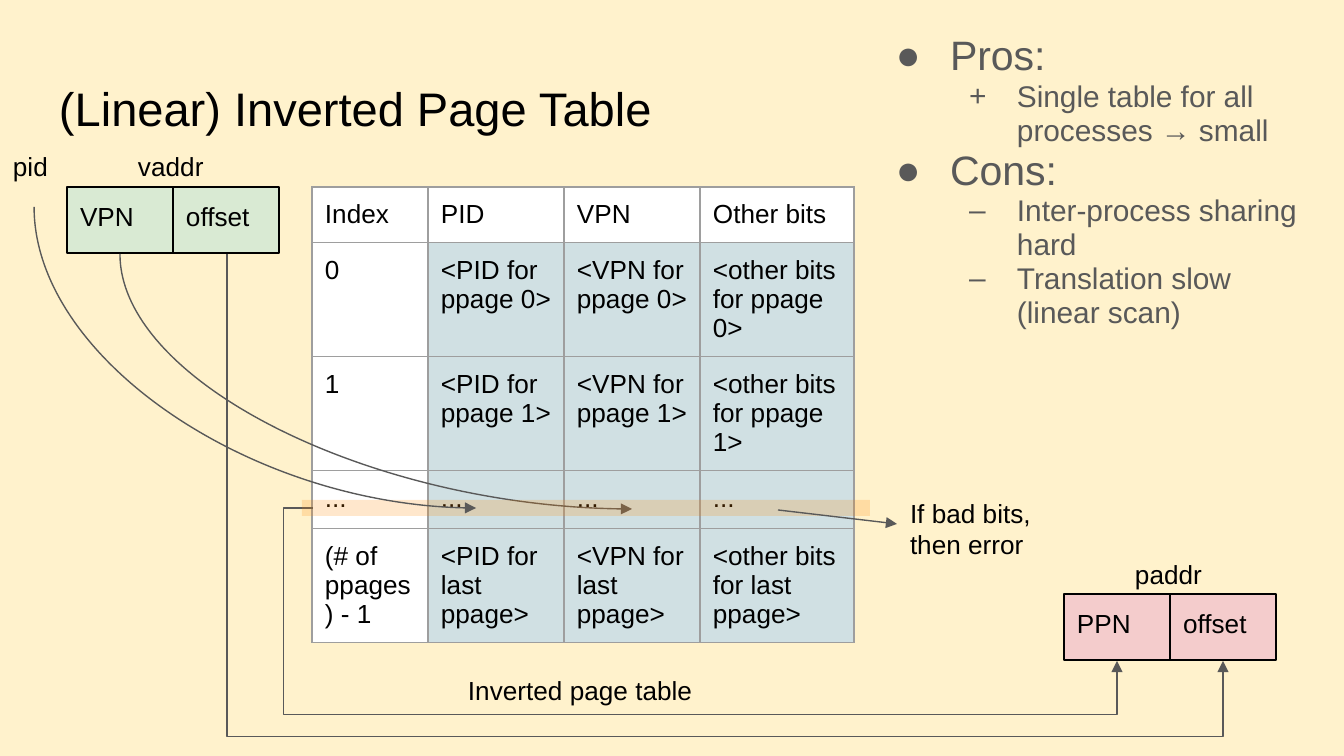
from lxml import etree
from pptx import Presentation
from pptx.dml.color import RGBColor
from pptx.enum.shapes import MSO_CONNECTOR, MSO_SHAPE
from pptx.enum.text import MSO_ANCHOR, MSO_AUTO_SIZE, PP_ALIGN
from pptx.oxml.ns import qn
from pptx.util import Pt

RECT = MSO_SHAPE.RECTANGLE
STRAIGHT, ELBOW, CURVE = MSO_CONNECTOR.STRAIGHT, MSO_CONNECTOR.ELBOW, MSO_CONNECTOR.CURVE
TOP, LEFT, NO_FIT = MSO_ANCHOR.TOP, PP_ALIGN.LEFT, MSO_AUTO_SIZE.NONE

THEME = {
    "font": "Arial", "title": 25.2, "text": 14, "point": 22, "detail": 16, "line": 0.75,
    "paper": "FFF2CC", "ink": "000000", "gray": "595959", "grid": "9E9E9E",
    "virtual": "D9EAD3", "physical": "F4CCCC", "white": "FFFFFF", "entry": "D0E0E3",
    "highlight": "FF8700",
}
EMU_PER_PX = 914400 / 134.4
INSET = 13

TITLE = ("(Linear) Inverted Page Table", (46, 66, 1253, 84))
POINTS = [
    (0, "●", "Pros:"),
    (1, "+", "Single table for all processes → small"),
    (0, "●", "Cons:"),
    (1, "–", "Inter-process sharing hard"),
    (1, "–", "Translation slow (linear scan)"),
]
POINTS_BOX = (870, 20, 456, 344)
LEVELS = [(67, -54, "point"), (134, -48, "detail")]

ADDRESSES = [
    (("VPN", "offset"), (67, 187), "virtual"),
    (("PPN", "offset"), (1064, 594), "physical"),
]
FIELD_W, FIELD_H = 106, 66
LABELS = [
    ("vaddr", (125, 137, 106, 70)),
    ("Inverted page table", (455, 661, 256, 66)),
    ("paddr", (1122, 545, 106, 70)),
    ("pid", (0, 137, 67, 70)),
    ("If bad bits, then error", (897, 484, 168, 82)),
]

KINDS = ("PID", "VPN", "other bits")
HEADER = ["Index", "PID", "VPN", "Other bits"]
ENTRIES = [("0", "ppage 0"), ("1", "ppage 1"), ("...", None), ("(# of ppages) - 1", "last ppage")]
ROWS = [HEADER] + [
    [index] + [f"<{kind} for {page}>" if page else "..." for kind in KINDS]
    for index, page in ENTRIES
]
TABLE_AT = (312, 187)
COLUMN_W = (116, 136, 136, 154)
ROW_H = (54, 112, 112, 58, 112)
HIGHLIGHT_BOX = (302, 500, 568, 16)

ARROWS = [
    (CURVE, "curvedConnector2", (120, 254), (632, 509), True, ()),
    (ELBOW, "bentConnector4", (313, 508), (1117, 661), False, (-3700, 135100)),
    (ELBOW, "bentConnector3", (227, 254), (1223, 661), True, (118600,)),
    (CURVE, "curvedConnector2", (34, 207), (476, 508), True, ()),
    (STRAIGHT, "line", (778, 510), (897, 524), False, ()),
]


def px(*lengths):
    return [round(length * EMU_PER_PX) for length in lengths]


def color(name):
    return RGBColor.from_string(THEME[name])


def child(parent, tag, **attributes):
    return etree.SubElement(parent, qn(tag), {key: str(value) for key, value in attributes.items()})


def style(paragraph, size, ink):
    paragraph.alignment = LEFT
    paragraph.font.size = Pt(THEME[size])
    paragraph.font.name = THEME["font"]
    paragraph.font.color.rgb = color(ink)


def set_margins(holder):
    for side in ("left", "right", "top", "bottom"):
        setattr(holder, f"margin_{side}", px(INSET)[0])


def write(shape, text, size="text"):
    frame = shape.text_frame
    set_margins(frame)
    frame.word_wrap, frame.auto_size, frame.vertical_anchor = True, NO_FIT, TOP
    frame.text = text
    for paragraph in frame.paragraphs:
        style(paragraph, size, "ink")
    return frame


def place(shape, box):
    for side, length in zip(("left", "top", "width", "height"), px(*box)):
        setattr(shape, side, length)


def add_box(shapes, box, fill):
    shape = shapes.add_shape(RECT, *px(*box))
    shape.shadow.inherit = False
    shape.fill.solid()
    shape.fill.fore_color.rgb = color(fill)
    return shape


def add_table(shapes):
    size = (sum(COLUMN_W), sum(ROW_H))
    table = shapes.add_table(len(ROWS), len(HEADER), *px(*TABLE_AT, *size)).table
    for column, width in zip(table.columns, px(*COLUMN_W)):
        column.width = width
    for row, height in zip(table.rows, px(*ROW_H)):
        row.height = height
    for r, texts in enumerate(ROWS):
        for c, text in enumerate(texts):
            cell = table.cell(r, c)
            cell.text = text
            set_margins(cell)
            style(cell.text_frame.paragraphs[0], "text", "ink")
            properties = cell._tc.get_or_add_tcPr()
            for edge in ("a:lnL", "a:lnR", "a:lnT", "a:lnB"):
                border = child(properties, edge, w=Pt(THEME["line"]))
                child(child(border, "a:solidFill"), "a:srgbClr", val=THEME["grid"])
            cell.fill.solid()
            cell.fill.fore_color.rgb = color("entry" if r and c else "white")


def add_arrow(shapes, kind, preset, start, end, turned, adjustments):
    (x1, y1), (x2, y2) = start, end
    if turned:
        mid_x, mid_y = (x1 + x2) / 2, (y1 + y2) / 2
        half_w, half_h = (y2 - y1) / 2, (x2 - x1) / 2
        x1, y1, x2, y2 = mid_x + half_w, mid_y - half_h, mid_x - half_w, mid_y + half_h
    arrow = shapes.add_connector(kind, *px(x1, y1, x2, y2))
    arrow.line.color.rgb = color("gray")
    arrow.line.width = Pt(THEME["line"])
    properties = arrow._element.spPr
    child(properties.find(qn("a:ln")), "a:tailEnd", type="triangle")
    child(properties, "a:effectLst")
    if turned:
        properties.find(qn("a:xfrm")).set("rot", "16200000")
    geometry = properties.find(qn("a:prstGeom"))
    geometry.set("prst", preset)
    for number, value in enumerate(adjustments, 1):
        child(geometry.find(qn("a:avLst")), "a:gd", name=f"adj{number}", fmla=f"val {value}")


def add_points(body):
    place(body, POINTS_BOX)
    frame = write(body, "\n".join(text for _, _, text in POINTS))
    for paragraph, (level, mark, _) in zip(frame.paragraphs, POINTS):
        margin, indent, size = LEVELS[level]
        paragraph.level = level
        paragraph.line_spacing = 0.95
        paragraph.space_before = paragraph.space_after = Pt(0)
        properties = paragraph._p.get_or_add_pPr()
        for key, length in zip(("marL", "indent"), px(margin, indent)):
            properties.set(key, str(length))
        bullet = [
            etree.Element(qn("a:buClr")),
            etree.Element(qn("a:buFont"), typeface=THEME["font"]),
            etree.Element(qn("a:buChar"), char=mark),
        ]
        child(bullet[0], "a:srgbClr", val=THEME["gray"])
        defaults = properties.find(qn("a:defRPr"))
        for element in bullet:
            defaults.addprevious(element)
        style(paragraph, size, "gray")


def main():
    deck = Presentation()
    deck.slide_width, deck.slide_height = px(1344, 756)
    slide = deck.slides.add_slide(deck.slide_layouts[1])
    slide.background.fill.solid()
    slide.background.fill.fore_color.rgb = color("paper")
    shapes = slide.shapes

    title, title_box = TITLE
    place(shapes.title, title_box)
    write(shapes.title, title, "title")
    add_points(slide.placeholders[1])

    for fields, (left, top), fill in ADDRESSES:
        for i, field in enumerate(fields):
            box = add_box(shapes, (left + i * FIELD_W, top, FIELD_W, FIELD_H), fill)
            box.line.color.rgb = color("ink")
            box.line.width = Pt(THEME["line"])
            write(box, field)
    add_table(shapes)
    for label, box in LABELS:
        write(shapes.add_textbox(*px(*box)), label)

    for arrow in ARROWS[:3]:
        add_arrow(shapes, *arrow)
    highlight = add_box(shapes, HIGHLIGHT_BOX, "highlight")
    highlight.line.fill.background()
    tint = highlight._element.spPr.find(qn("a:solidFill")).find(qn("a:srgbClr"))
    child(tint, "a:alpha", val=20000)
    for arrow in ARROWS[3:]:
        add_arrow(shapes, *arrow)
    deck.save("out.pptx")


if __name__ == "__main__":
    main()
